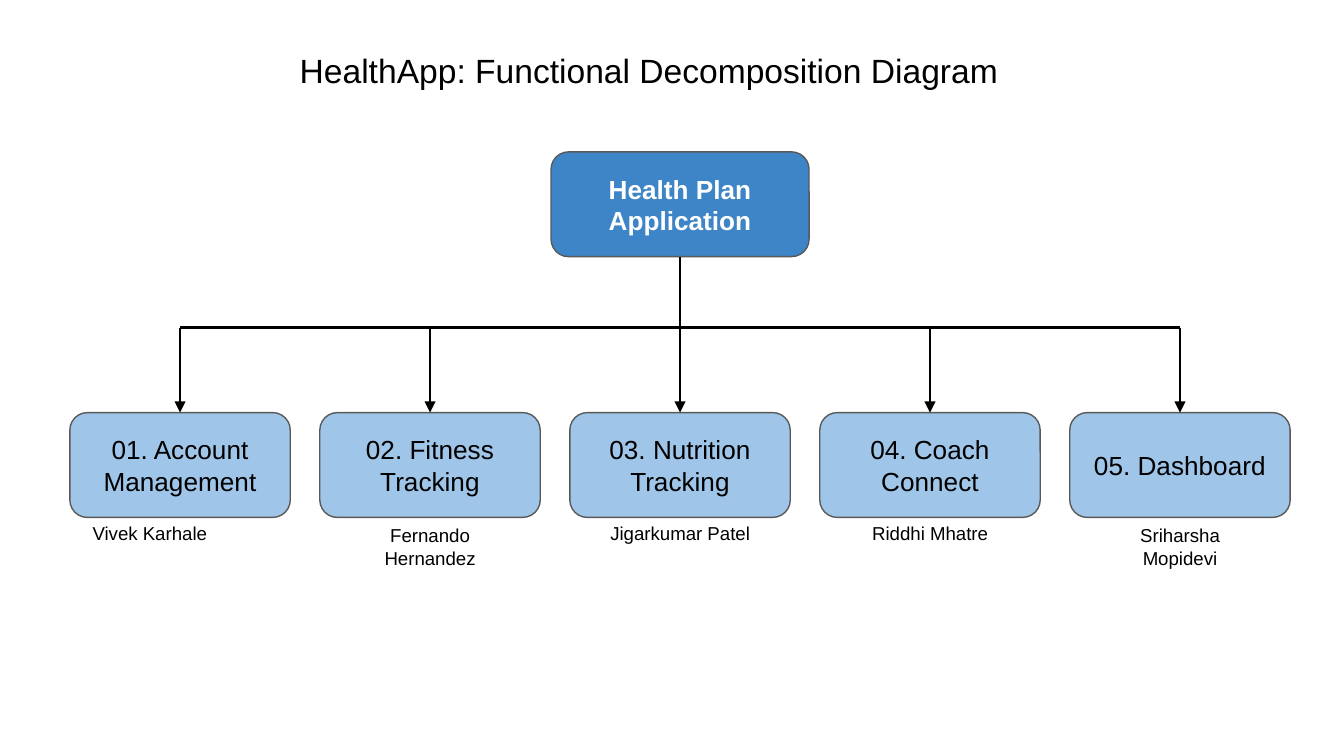
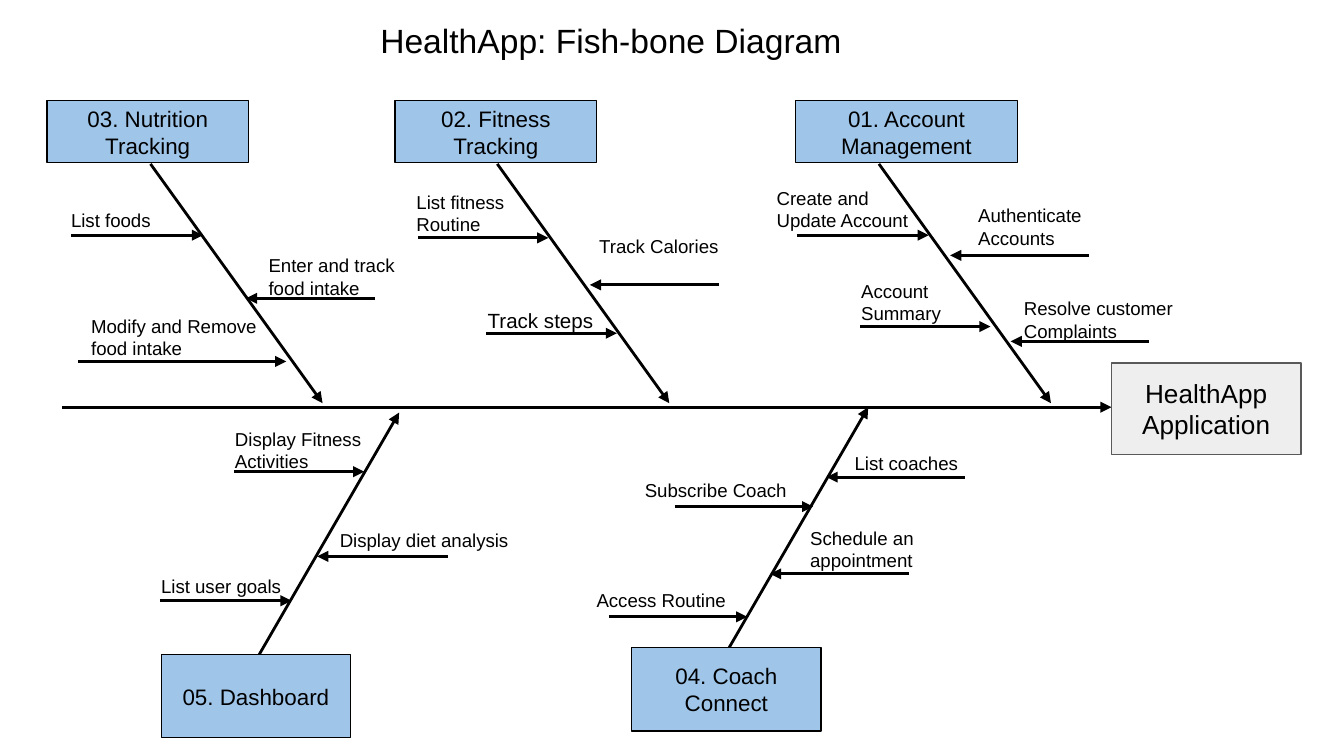
from pptx import Presentation
from pptx.dml.color import RGBColor
from pptx.enum.shapes import MSO_CONNECTOR, MSO_SHAPE
from pptx.enum.text import MSO_ANCHOR, MSO_AUTO_SIZE, PP_ALIGN
from pptx.oxml.ns import qn
from pptx.util import Inches, Pt
from lxml import etree

BLACK = RGBColor(0x00, 0x00, 0x00)
WHITE = RGBColor(0xFF, 0xFF, 0xFF)
BLUE = RGBColor(0x3D, 0x85, 0xC6)
LIGHT_BLUE = RGBColor(0x9F, 0xC5, 0xE8)
PALE_GREY = RGBColor(0xEE, 0xEE, 0xEE)
DARK_GREY = RGBColor(0x59, 0x59, 0x59)

ROUNDED = MSO_SHAPE.ROUNDED_RECTANGLE
RECT = MSO_SHAPE.RECTANGLE
STRAIGHT = MSO_CONNECTOR.STRAIGHT
LEFT = PP_ALIGN.LEFT
CENTER = PP_ALIGN.CENTER
TOP = MSO_ANCHOR.TOP
MIDDLE = MSO_ANCHOR.MIDDLE
GROW = MSO_AUTO_SIZE.SHAPE_TO_FIT_TEXT
FONT = "Arial"

DECOMPOSITION_TITLE = ("HealthApp: Functional Decomposition Diagram", (2.13, 0.32, 5.57, 0.4))
FISHBONE_TITLE = ("HealthApp: Fish-bone Diagram", (2.73, 0.1, 3.74, 0.4))

ROOT = ("Health Plan\nApplication", (4.1, 1.13, 1.92, 0.78))
MODULES = [
    ("01. Account Management", "Vivek Karhale"),
    ("02. Fitness Tracking", "Fernando Hernandez"),
    ("03. Nutrition Tracking", "Jigarkumar Patel"),
    ("04. Coach Connect", "Riddhi Mhatre"),
    ("05. Dashboard", "Sriharsha Mopidevi"),
]
MODULE_LEFT, MODULE_TOP, MODULE_W, MODULE_H = 0.52, 3.07, 1.64, 0.78
MODULE_PITCH = 1.86
BAR_Y = 2.44
OWNER_TOP, OWNER_W, OWNER_H = 3.8, 1.37, 0.32
FIRST_OWNER_LEFT, FIRST_OWNER_W = 0.59, 1.52

HEAD = ("HealthApp\nApplication", (8.27, 2.7, 1.41, 0.68))
SPINE = ((0.46, 3.03), (8.27, 3.03))
DOWN_RUN = (1.28, 1.78)
UP_RUN = (1.07, -1.85)

BONES = [
    ("03. Nutrition Tracking", (0.35, 0.75, 1.5, 0.46), (1.12, 1.22), DOWN_RUN, [
        ("List foods", (0.43, 1.47, 1.08, 0.32), 0.53, 1.51, 1.75),
        ("Enter and track food intake", (1.9, 1.79, 1.25, 0.37), 2.79, 1.83, 2.22),
        ("Modify and Remove food intake", (0.58, 2.24, 1.66, 0.42), 0.58, 2.13, 2.69),
    ]),
    ("02. Fitness Tracking", (2.94, 0.75, 1.5, 0.46), (3.7, 1.22), DOWN_RUN, [
        ("List fitness Routine", (3, 1.32, 1.08, 0.44), 3.11, 4.08, 1.77),
        ("Track Calories", (4.36, 1.66, 1.32, 0.49), 5.35, 4.39, 2.12),
        ("Track steps", (3.53, 2.2, 1.13, 0.53), 3.62, 4.59, 2.48),
    ]),
    ("01. Account Management", (5.92, 0.75, 1.65, 0.46), (6.54, 1.22), DOWN_RUN, [
        ("Create and Update Account", (5.68, 1.29, 1.28, 0.4), 5.93, 6.91, 1.75),
        ("Authenticate Accounts", (7.18, 1.42, 1.03, 0.48), 8.1, 7.07, 1.9),
        ("Account Summary", (6.31, 1.98, 1.13, 0.48), 6.4, 7.37, 2.43),
        ("Resolve customer Complaints", (7.52, 2.11, 1.77, 0.48), 8.55, 7.52, 2.54),
    ]),
    ("05. Dashboard", (1.2, 4.87, 1.41, 0.62), (1.9, 4.92), UP_RUN, [
        ("Display Fitness Activities", (1.65, 3.08, 1.28, 0.48), 1.74, 2.71, 3.51),
        ("Display diet analysis", (2.43, 3.85, 1.54, 0.48), 3.33, 2.36, 4.14),
        ("List user goals", (1.1, 4.19, 1.28, 0.31), 1.19, 2.17, 4.47),
    ]),
    ("04. Coach Connect", (4.7, 4.82, 1.41, 0.62), (5.39, 4.88), UP_RUN, [
        ("List coaches", (6.26, 3.28, 1.28, 0.24), 7.18, 6.15, 3.55),
        ("Subscribe Coach", (4.7, 3.48, 1.36, 0.47), 5.02, 6.05, 3.77),
        ("Schedule an appointment", (5.93, 3.82, 1.03, 0.59), 6.76, 5.73, 4.27),
        ("Access Routine", (4.34, 4.3, 1.25, 0.29), 4.53, 5.56, 4.59),
    ]),
]
TWIG_SIZES = {"Track steps": 11}


def write(tf, text, size, color=BLACK, align=LEFT, bold=False):
    tf.text = text
    for p in tf.paragraphs:
        p.alignment = align
        for r in p.runs:
            r.font.name = FONT
            r.font.size = Pt(size)
            r.font.bold = bold
            r.font.color.rgb = color


def pad(tf, anchor):
    tf.word_wrap = True
    tf.vertical_anchor = anchor
    tf.margin_left = tf.margin_right = tf.margin_top = tf.margin_bottom = Inches(0.1)


def add_titled_slide(prs, title, at):
    s = prs.slides.add_slide(prs.slide_layouts[5])
    sp = s.shapes.title
    sp.left, sp.top, sp.width, sp.height = map(Inches, at)
    tf = sp.text_frame
    tf.word_wrap = False
    tf.auto_size = GROW
    tf.vertical_anchor = TOP
    write(tf, title, 18)
    return s


def add_box(s, kind, text, at, size, fill, line, color=BLACK, bold=False):
    sp = s.shapes.add_shape(kind, *map(Inches, at))
    sp.shadow.inherit = False
    sp.fill.solid()
    sp.fill.fore_color.rgb = fill
    sp.line.color.rgb = line
    sp.line.width = Pt(0.75)
    pad(sp.text_frame, MIDDLE)
    write(sp.text_frame, text, size, color, CENTER, bold)


def add_label(s, text, at, size=10, align=LEFT):
    tf = s.shapes.add_textbox(*map(Inches, at)).text_frame
    pad(tf, TOP)
    write(tf, text, size, align=align)


def add_line(s, start, end, arrow=True):
    cx = s.shapes.add_connector(STRAIGHT, *map(Inches, (*start, *end)))
    cx.line.color.rgb = BLACK
    cx.line.width = Pt(1.5)
    props = cx._element.spPr
    if arrow:
        etree.SubElement(props.find(qn("a:ln")), qn("a:tailEnd"), type="triangle")
    etree.SubElement(props, qn("a:effectLst"))


def build_decomposition(prs):
    s = add_titled_slide(prs, *DECOMPOSITION_TITLE)
    name, at = ROOT
    add_box(s, ROUNDED, name, at, 14, BLUE, DARK_GREY, WHITE, True)
    root_bottom = at[1] + at[3]
    centers = [MODULE_LEFT + MODULE_W / 2 + i * MODULE_PITCH for i in range(len(MODULES))]
    middle = len(centers) // 2
    add_line(s, (centers[0], BAR_Y), (centers[-1], BAR_Y), arrow=False)
    for i, ((module, owner), x) in enumerate(zip(MODULES, centers)):
        box = (x - MODULE_W / 2, MODULE_TOP, MODULE_W, MODULE_H)
        add_box(s, ROUNDED, module, box, 14, LIGHT_BLUE, DARK_GREY)
        add_line(s, (x, root_bottom if i == middle else BAR_Y), (x, MODULE_TOP))
        left, width, align = x - OWNER_W / 2, OWNER_W, CENTER
        if i == 0:
            left, width, align = FIRST_OWNER_LEFT, FIRST_OWNER_W, LEFT
        add_label(s, owner, (left, OWNER_TOP, width, OWNER_H), align=align)


def build_fishbone(prs):
    s = add_titled_slide(prs, *FISHBONE_TITLE)
    add_line(s, *SPINE)
    add_box(s, RECT, *HEAD, 14, PALE_GREY, DARK_GREY)
    for name, at, (x, y), (dx, dy), twigs in BONES:
        add_line(s, (x, y), (x + dx, y + dy))
        add_box(s, RECT, name, at, 12, LIGHT_BLUE, BLACK)
        for label, label_at, start_x, tip_x, twig_y in twigs:
            add_line(s, (start_x, twig_y), (tip_x, twig_y))
            add_label(s, label, label_at, TWIG_SIZES.get(label, 10))


def main():
    prs = Presentation()
    prs.slide_width = Inches(10)
    prs.slide_height = Inches(10 * 9 / 16)
    build_decomposition(prs)
    build_fishbone(prs)
    prs.save("out.pptx")


if __name__ == "__main__":
    main()
